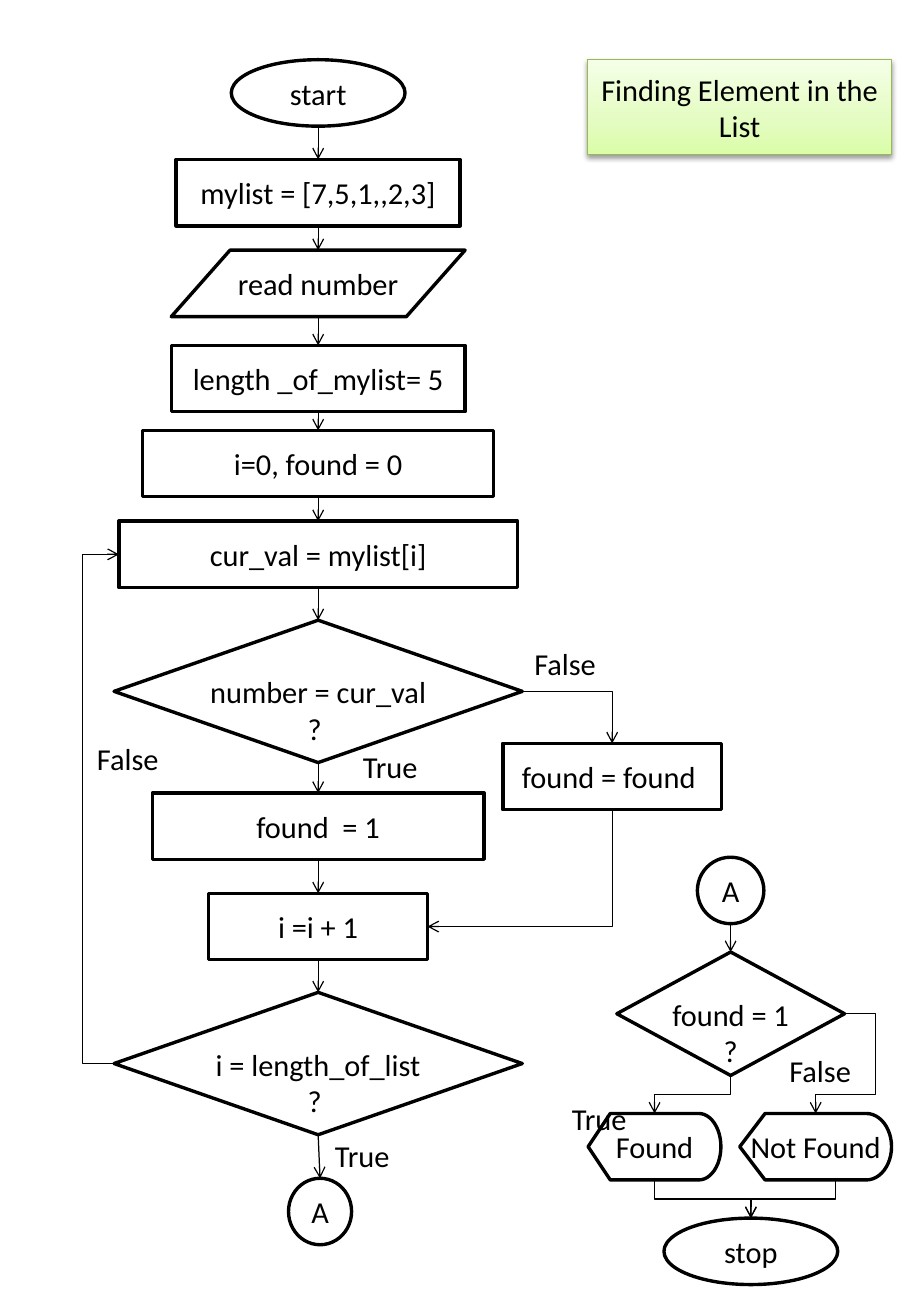
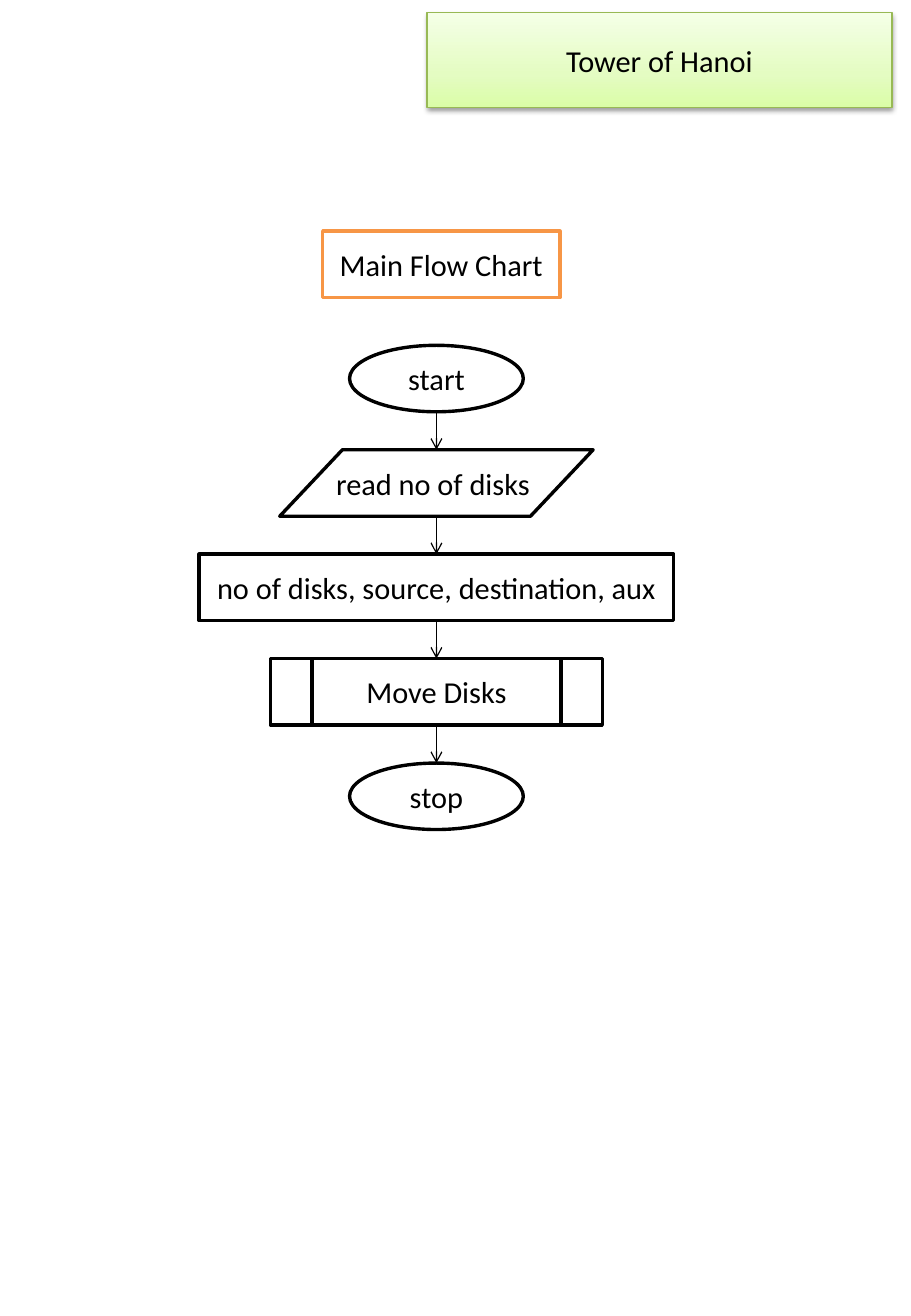
"""Build two flowchart slides: a list search and the Tower of Hanoi."""
from copy import deepcopy
from itertools import pairwise

from lxml.etree import SubElement
from pptx import Presentation
from pptx.dml.color import RGBColor
from pptx.enum.shapes import MSO_CONNECTOR as CXN, MSO_SHAPE as SHAPE
from pptx.enum.text import MSO_ANCHOR as ANCHOR, PP_ALIGN as ALIGN
from pptx.oxml.ns import qn
from pptx.util import Pt

COLORS = {"ink": "000000", "paper": "FFFFFF", "accent": "F79646", "title_line": "98B955"}
TITLE_STOPS = ((0, "DAFDA7"), (0.35, "E4FCC2"), (1, "F5FFE7"))
FONT = "Calibri"
NODE_H = 39.4
OVAL_W = 103
LINE_H = 22
INSET = 3.6


def rgb(name):
    return RGBColor.from_string(COLORS[name])


def write(sp, text, size=18, color="ink", align=ALIGN.CENTER, anchor=ANCHOR.MIDDLE, wrap=False, top=INSET):
    tf = sp.text_frame
    tf.word_wrap = wrap
    tf.vertical_anchor = anchor
    tf.margin_top = Pt(top)
    tf.text = text
    for p in tf.paragraphs:
        p.alignment = align
        for r in p.runs:
            r.font.name = FONT
            r.font.size = Pt(size)
            r.font.color.rgb = rgb(color)


def node(s, kind, cx, y, w, text, h=NODE_H, line="ink", **fmt):
    sp = s.shapes.add_shape(kind, Pt(cx - w / 2), Pt(y), Pt(w), Pt(h))
    sp.shadow.inherit = False
    sp.fill.solid()
    sp.fill.fore_color.rgb = rgb("paper")
    sp.line.color.rgb = rgb(line)
    sp.line.width = Pt(2)
    write(sp, text, **fmt)
    return sp


def decision(s, cx, y, w, h, text):
    return node(s, SHAPE.FLOWCHART_DECISION, cx, y, w, text, h=h, top=INSET + LINE_H)


def title(s, x, y, w, text):
    sp = node(s, SHAPE.RECTANGLE, x + w / 2, y, w, text, h=56.2, line="title_line", wrap=True)
    sp.line.width = Pt(0.75)
    sp.fill.gradient()
    sp.fill.gradient_angle = 90
    stop_list = sp._element.spPr.find(".//" + qn("a:gsLst"))
    stop_list.append(deepcopy(stop_list[-1]))
    for stop, (position, color) in zip(sp.fill.gradient_stops, TITLE_STOPS):
        stop.position = position
        stop.color.rgb = RGBColor.from_string(color)
    effects = sp._element.spPr.find(qn("a:effectLst"))
    shadow = SubElement(effects, qn("a:outerShdw"), blurRad="40000", dist="20000", dir="5400000", rotWithShape="0")
    tint = SubElement(shadow, qn("a:srgbClr"), val=COLORS["ink"])
    SubElement(tint, qn("a:alpha"), val="38000")


def label(s, x, y, w, text):
    sp = s.shapes.add_textbox(Pt(x), Pt(y), Pt(w), Pt(29))
    write(sp, text, align=ALIGN.LEFT, anchor=ANCHOR.TOP)


def site(sp, side, dx=0):
    fx, fy = {"top": (0.5, 0), "bottom": (0.5, 1), "left": (0, 0.5), "right": (1, 0.5)}[side]
    return sp.left.pt + fx * sp.width.pt + dx, sp.top.pt + fy * sp.height.pt


def arrow(s, begin, end, kind=CXN.STRAIGHT):
    c = s.shapes.add_connector(kind, *(Pt(v) for v in (*begin, *end)))
    c.line.color.rgb = rgb("ink")
    c.line.width = Pt(0.75)
    SubElement(c.line._get_or_add_ln(), qn("a:tailEnd"), type="arrow")
    SubElement(c._element.spPr, qn("a:effectLst"))
    return c


def elbow(s, begin, end, vertical=False, adjust=()):
    (x1, y1), (x2, y2) = begin, end
    across, along = x2 - x1, y2 - y1
    if vertical:
        across, along = along, -across
    cx, cy = (x1 + x2) / 2, (y1 + y2) / 2
    start = cx - across / 2, cy - along / 2
    stop = cx + across / 2, cy + along / 2
    c = arrow(s, start, stop, CXN.ELBOW)
    if vertical:
        c.rotation = 90
    geom = c._element.spPr.find(qn("a:prstGeom"))
    geom.set("prst", f"bentConnector{len(adjust) + 2}")
    guides = geom.find(qn("a:avLst"))
    for i, value in enumerate(adjust, 1):
        SubElement(guides, qn("a:gd"), name=f"adj{i}", fmla=f"val {round(value * 100000)}")


def chain(s, nodes):
    for a, b in pairwise(nodes):
        arrow(s, site(a, "bottom"), site(b, "top"))


def search_slide(s):
    cx = 188.6
    start = node(s, SHAPE.OVAL, cx, 35.4, OVAL_W, "start")
    values = node(s, SHAPE.RECTANGLE, cx, 94.5, 168.5, "mylist = [7,5,1,,2,3]")
    read = node(s, SHAPE.FLOWCHART_DATA, cx, 148.3, 174.2, "read number")
    length = node(s, SHAPE.RECTANGLE, cx, 204.7, 174.2, "length _of_mylist= 5")
    init = node(s, SHAPE.RECTANGLE, cx, 255.1, 208, "i=0, found = 0")
    current = node(s, SHAPE.RECTANGLE, cx, 308.9, 236.2, "cur_val = mylist[i]")
    match = decision(s, cx, 367.6, 242, 84.4, "number = cur_val\n? ")
    found = node(s, SHAPE.RECTANGLE, cx, 470, 196.6, "found  = 1")
    step = node(s, SHAPE.RECTANGLE, cx, 529.5, 129.6, "i =i + 1")
    last = decision(s, cx, 588.2, 242, 84.4, "i = length_of_list\n? ")
    exit_a = node(s, SHAPE.OVAL, 189.7, 698.4, 37.4, "A")
    chain(s, (start, values, read, length, init, current, match, found, step, last, exit_a))

    keep = node(s, SHAPE.RECTANGLE, 362.9, 440.6, 129.6, "found = found ")
    elbow(s, site(match, "right"), site(keep, "top"))
    elbow(s, site(keep, "bottom"), site(step, "right"), vertical=True)
    elbow(s, site(last, "left"), site(current, "left"), adjust=(-6.4,))

    enter_a = node(s, SHAPE.OVAL, 433.1, 508.1, NODE_H, "A")
    check = decision(s, 433.1, 564.3, 135, 73.2, "found = 1\n?")
    chain(s, (enter_a, check))
    yes = node(s, SHAPE.FLOWCHART_DISPLAY, 388, 660, 78.7, "Found")
    no = node(s, SHAPE.FLOWCHART_DISPLAY, 483.5, 660, 90, "Not Found")
    stop = node(s, SHAPE.OVAL, 445.1, 722, OVAL_W, "stop")
    elbow(s, site(check, "bottom"), site(yes, "top"), vertical=True, adjust=(0.5,))
    elbow(s, site(check, "right"), site(no, "top"), adjust=(-1.07, 0.81))
    for begin in (site(yes, "bottom"), site(no, "bottom", dx=11.6)):
        elbow(s, begin, site(stop, "top"), vertical=True, adjust=(0.5,))

    for x, y in ((309.6, 378.7), (50.4, 434.9), (460.8, 619.9)):
        label(s, x, y, 51, "False")
    for x, y in ((208.1, 439.9), (191.5, 670.3), (331.9, 648.7)):
        label(s, x, y, 47.5, "True")
    title(s, 348.5, 35.4, 180, "Finding Element in the List")


def hanoi_slide(s):
    cx, top, pitch = 258.7, 204.7, 61.9
    steps = (
        (SHAPE.OVAL, OVAL_W, "start"),
        (SHAPE.FLOWCHART_DATA, 185.8, "read no of disks "),
        (SHAPE.RECTANGLE, 281.2, "no of disks, source, destination, aux"),
        (SHAPE.FLOWCHART_PREDEFINED_PROCESS, 196.6, "Move Disks"),
        (SHAPE.OVAL, OVAL_W, "stop"),
    )
    chain(s, [node(s, kind, cx, top + i * pitch, w, text) for i, (kind, w, text) in enumerate(steps)])
    node(s, SHAPE.RECTANGLE, 261.6, 137, 140.6, "Main Flow Chart", line="accent", wrap=True)
    title(s, 253.1, 7.4, 275.6, "Tower of Hanoi")


def main():
    prs = Presentation()
    prs.slide_width, prs.slide_height = Pt(540), Pt(780)
    for build in (search_slide, hanoi_slide):
        build(prs.slides.add_slide(prs.slide_layouts[6]))
    prs.save("out.pptx")


if __name__ == "__main__":
    main()
